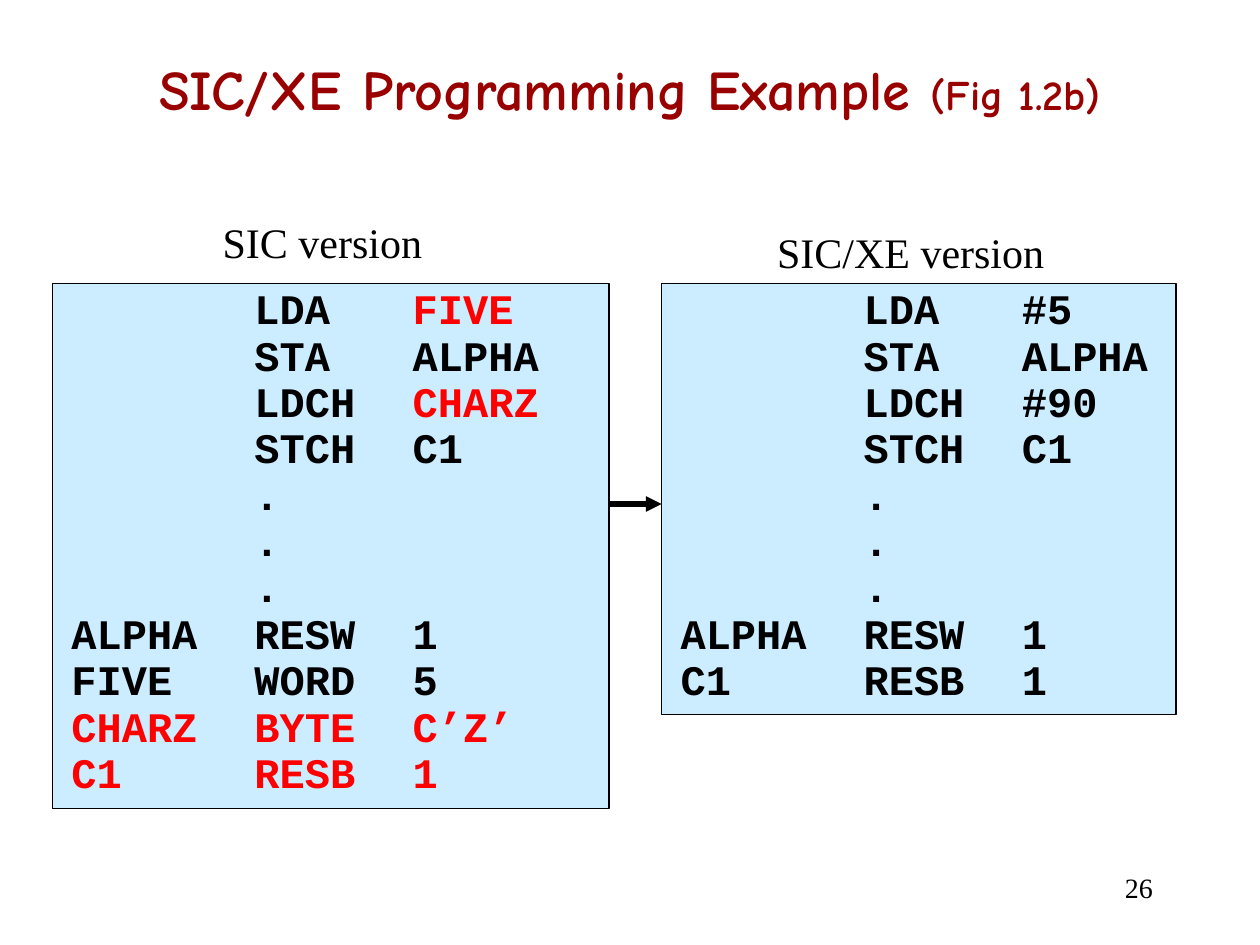
from lxml.etree import SubElement
from pptx import Presentation
from pptx.dml.color import RGBColor
from pptx.enum.shapes import MSO_CONNECTOR, MSO_SHAPE
from pptx.enum.text import MSO_ANCHOR, MSO_AUTO_SIZE, PP_ALIGN
from pptx.oxml.ns import qn
from pptx.util import Cm, Pt

BLACK = RGBColor(0x00, 0x00, 0x00)
RED = RGBColor(0xFF, 0x00, 0x00)
DARK_RED = RGBColor(0x99, 0x00, 0x00)
PALE_BLUE = RGBColor(0xCC, 0xEC, 0xFF)

TITLE_FONT = "Comic Neue"
CODE_FONT = "Courier New"
BODY_FONT = "Times New Roman"
CODE_TABS = (Cm(3.69), Cm(6.88))

SETUP = ["\tLDA\t", "\tSTA\tALPHA", "\tLDCH\t", "\tSTCH\tC1"]
DOTS = ["\t."] * 3
ALPHA_WORD = "ALPHA\tRESW\t1"
C1_BYTE = "C1\tRESB\t1"


def code_lines(five, charz, storage):
    """Return lines of (text, colour) spans; five and charz are the two operand spans."""
    lines = [[(text, BLACK)] for text in SETUP + DOTS + [ALPHA_WORD]]
    lines[0].append(five)
    lines[2].append(charz)
    return lines + [[span] for span in storage]


class SlideWriter:
    def __init__(self, slide):
        self.shapes = slide.shapes

    def style(self, span, font, size, color, bold=False):
        span.font.name = font
        span.font.size = Pt(size)
        span.font.color.rgb = color
        span.font.bold = bold

    def text(self, left, top, width, height, spans, font, color=BLACK, bold=False,
             align=PP_ALIGN.CENTER, anchor=MSO_ANCHOR.MIDDLE):
        """Add one line of text made of (text, size) spans."""
        box = self.shapes.add_textbox(Cm(left), Cm(top), Cm(width), Cm(height))
        frame = box.text_frame
        frame.word_wrap = True
        frame.vertical_anchor = anchor
        para = frame.paragraphs[0]
        para.alignment = align
        for text, size in spans:
            span = para.add_run()
            span.text = text
            self.style(span, font, size, color, bold)
        return box

    def caption(self, left, top, width, text):
        box = self.text(left, top, width, 1.27, [(text, 24)], BODY_FONT,
                        anchor=MSO_ANCHOR.TOP)
        box.text_frame.word_wrap = False
        box.text_frame.auto_size = MSO_AUTO_SIZE.SHAPE_TO_FIT_TEXT

    def code_box(self, left, top, width, height, lines):
        box = self.shapes.add_shape(MSO_SHAPE.RECTANGLE, Cm(left), Cm(top),
                                    Cm(width), Cm(height))
        box.shadow.inherit = False
        box.fill.solid()
        box.fill.fore_color.rgb = PALE_BLUE
        box.line.color.rgb = BLACK
        box.line.width = Pt(0.75)
        frame = box.text_frame
        frame.word_wrap = True
        frame.vertical_anchor = MSO_ANCHOR.TOP
        frame.margin_left = frame.margin_right = Cm(0.38)
        frame.margin_top = frame.margin_bottom = Cm(0.5)
        for index, line in enumerate(lines):
            para = frame.add_paragraph() if index else frame.paragraphs[0]
            para.alignment = PP_ALIGN.LEFT
            para.line_spacing = 0.4
            para.space_before = Pt(15)
            self.set_tabs(para, CODE_TABS)
            for text, color in line:
                span = para.add_run()
                span.text = text
                self.style(span, CODE_FONT, 24, color, bold=True)

    def set_tabs(self, para, positions):
        tab_list = SubElement(para._p.get_or_add_pPr(), qn("a:tabLst"))
        for position in positions:
            SubElement(tab_list, qn("a:tab"), pos=str(int(position)), algn="l")

    def arrow(self, start_x, end_x, y):
        arrow = self.shapes.add_connector(MSO_CONNECTOR.STRAIGHT, Cm(start_x), Cm(y),
                                          Cm(end_x), Cm(y))
        arrow.line.color.rgb = BLACK
        arrow.line.width = Pt(3)
        SubElement(arrow.line._get_or_add_ln(), qn("a:tailEnd"), type="triangle")
        SubElement(arrow._element.spPr, qn("a:effectLst"))


def main():
    deck = Presentation()
    deck.slide_width, deck.slide_height = Cm(25.4), Cm(19.05)
    page = SlideWriter(deck.slides.add_slide(deck.slide_layouts[6]))

    page.text(1.9, 0.64, 21.6, 2.29,
              [("SIC/XE Programming Example ", 32), ("(Fig 1.2b)", 24)],
              TITLE_FONT, DARK_RED, bold=True)

    sic_lines = code_lines(
        ("FIVE", RED), ("CHARZ", RED),
        [("FIVE\tWORD\t5", BLACK), ("CHARZ\tBYTE\tC’Z’", RED), (C1_BYTE, RED)])
    xe_lines = code_lines(("#5", BLACK), ("#90", BLACK), [(C1_BYTE, BLACK)])
    page.code_box(13.34, 5.72, 10.37, 8.68, xe_lines)
    page.code_box(1.06, 5.72, 11.22, 10.58, sic_lines)
    page.arrow(12.28, 13.34, 10.16)

    page.caption(4.14, 4.24, 4.72, "SIC version")
    page.caption(15.36, 4.45, 6, "SIC/XE version")
    page.text(20.75, 17.35, 2.74, 1.07, [("26", 16)], BODY_FONT, align=PP_ALIGN.RIGHT)
    deck.save("out.pptx")


if __name__ == "__main__":
    main()
